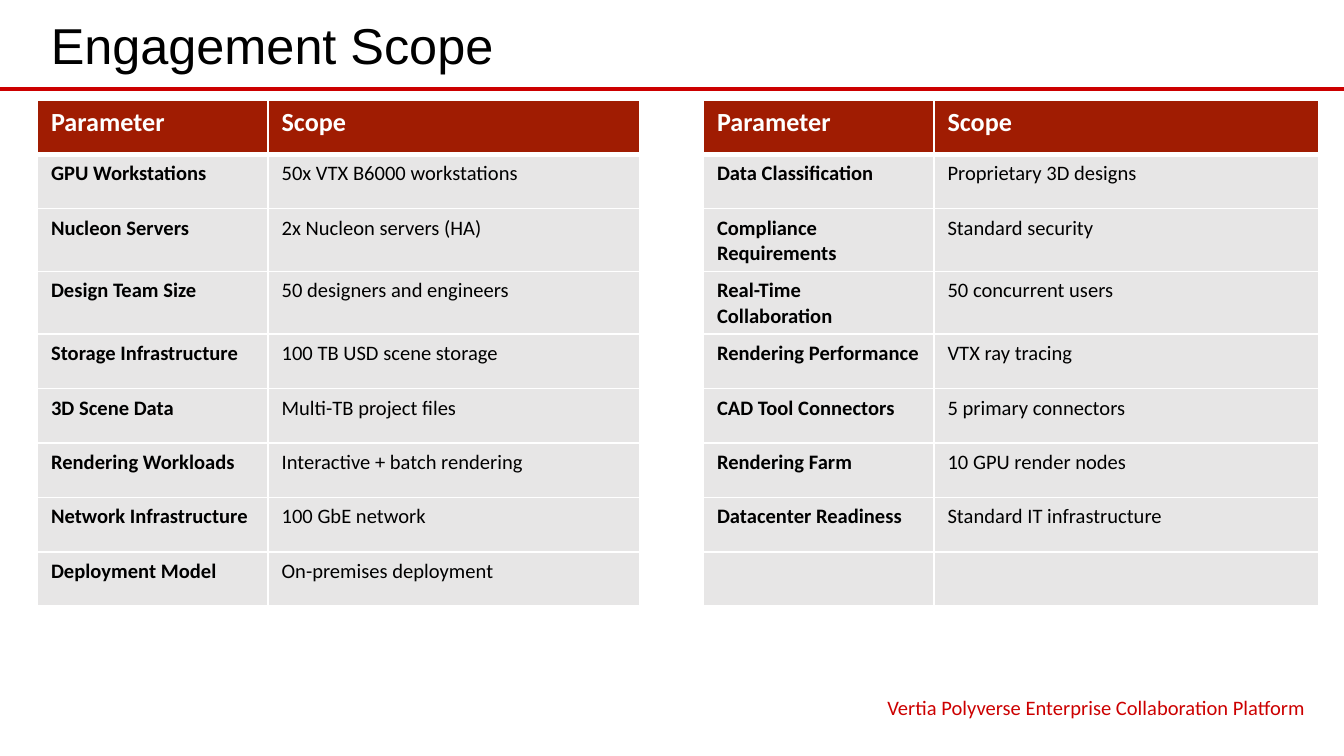
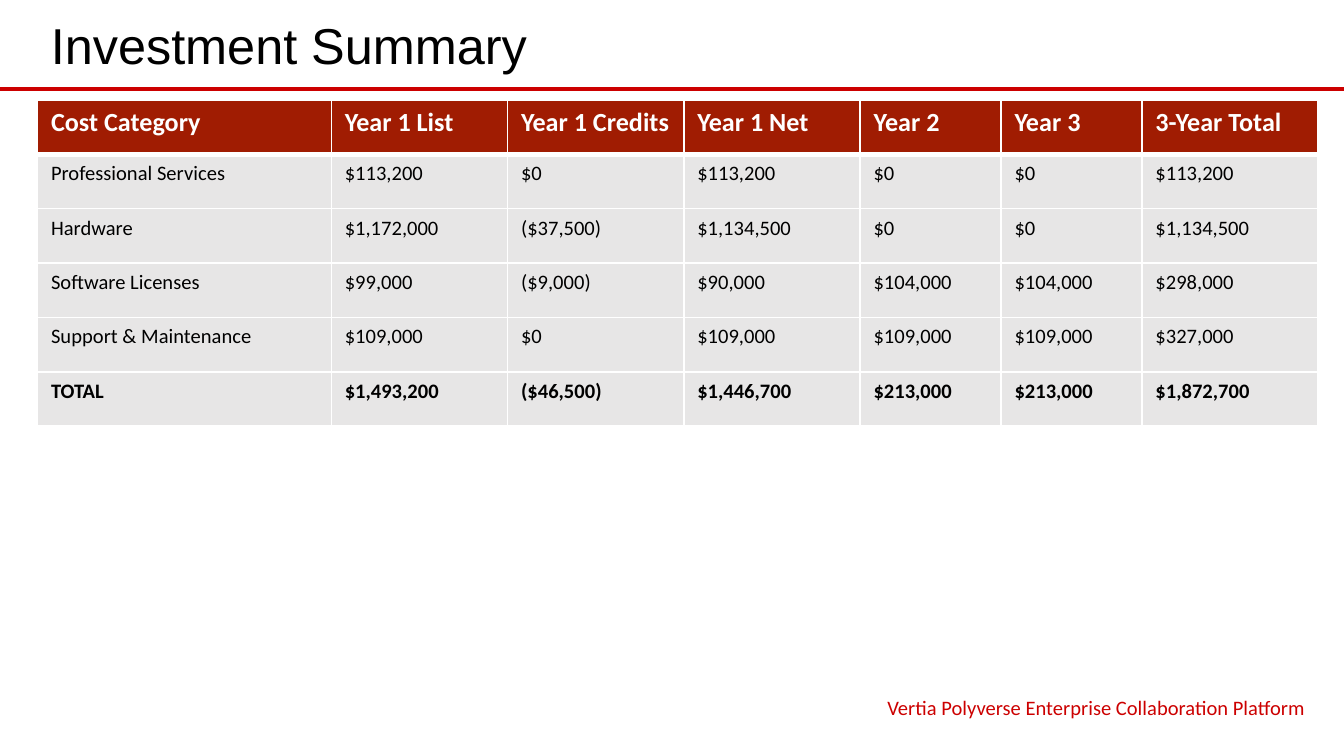
from dataclasses import dataclass

from lxml.etree import SubElement
from pptx import Presentation
from pptx.dml.color import RGBColor
from pptx.enum.shapes import MSO_CONNECTOR
from pptx.enum.text import MSO_ANCHOR, PP_ALIGN
from pptx.oxml.ns import qn
from pptx.util import Inches, Pt

SLIDE_WIDTH = Inches(10)
SLIDE_HEIGHT = SLIDE_WIDTH * 9 // 16


@dataclass(frozen=True)
class Theme:
    heading_font: str = "Arial"
    body_font: str = "Calibri"
    title_size: float = 27
    header_size: float = 14
    body_size: float = 11
    rule_width: float = 2.25
    border_width: float = 1
    header_border_width: float = 3
    accent: str = "CC0000"
    header: str = "A01C02"
    cell: str = "E7E6E6"
    white: str = "FFFFFF"
    black: str = "000000"


THEME = Theme()

FOOTER_TEXT = "Vertia Polyverse Enterprise Collaboration Platform"

SCOPE_WEIGHTS = [18, 29, 5, 18, 30]
SCOPE_HEADER = ["Parameter", "Scope"]
SCOPE_LEFT = [
    ["GPU Workstations", "50x VTX B6000 workstations"],
    ["Nucleon Servers", "2x Nucleon servers (HA)"],
    ["Design Team Size", "50 designers and engineers"],
    ["Storage Infrastructure", "100 TB USD scene storage"],
    ["3D Scene Data", "Multi-TB project files"],
    ["Rendering Workloads", "Interactive + batch rendering"],
    ["Network Infrastructure", "100 GbE network"],
    ["Deployment Model", "On-premises deployment"],
]
SCOPE_RIGHT = [
    ["Data Classification", "Proprietary 3D designs"],
    ["Compliance Requirements", "Standard security"],
    ["Real-Time Collaboration", "50 concurrent users"],
    ["Rendering Performance", "VTX ray tracing"],
    ["CAD Tool Connectors", "5 primary connectors"],
    ["Rendering Farm", "10 GPU render nodes"],
    ["Datacenter Readiness", "Standard IT infrastructure"],
    ["", ""],
]

COST_WEIGHTS = [25, 15, 15, 15, 12, 12, 15]
COST_ROWS = [
    ["Cost Category", "Year 1 List", "Year 1 Credits", "Year 1 Net", "Year 2", "Year 3", "3-Year Total"],
    ["Professional Services", "$113,200", "$0", "$113,200", "$0", "$0", "$113,200"],
    ["Hardware", "$1,172,000", "($37,500)", "$1,134,500", "$0", "$0", "$1,134,500"],
    ["Software Licenses", "$99,000", "($9,000)", "$90,000", "$104,000", "$104,000", "$298,000"],
    ["Support & Maintenance", "$109,000", "$0", "$109,000", "$109,000", "$109,000", "$327,000"],
    ["TOTAL", "$1,493,200", "($46,500)", "$1,446,700", "$213,000", "$213,000", "$1,872,700"],
]


@dataclass(frozen=True)
class Box:
    left: int
    top: int
    width: int
    height: int

    @property
    def edges(self):
        return self.left, self.top, self.width, self.height


def columns(count):
    return int(SLIDE_WIDTH * count / 100)


def rows(count):
    return int(SLIDE_HEIGHT * count / 100)


def grid_box(left, top, width, height):
    return Box(columns(left), rows(top), columns(width), rows(height))


TITLE_BOX = grid_box(2.8, 0.7, 95.3, 10.3)
RULE_BOX = grid_box(0, 11.75, 100, 0)
TABLE_BOX = grid_box(2.8, 13.2, 95.3, 79)
FOOTER_BOX = grid_box(62.9, 91, 35.2, 4.6)
ROW_HEIGHT = rows(7.2)


def add_run(paragraph, text, font_name, size, color, bold=False):
    run = paragraph.add_run()
    run.text = text
    run.font.name = font_name
    run.font.size = Pt(size)
    run.font.bold = bold
    run.font.color.rgb = RGBColor.from_string(color)


def add_text_box(slide, box, anchor):
    text_frame = slide.shapes.add_textbox(*box.edges).text_frame
    text_frame.word_wrap = True
    text_frame.vertical_anchor = anchor
    return text_frame.paragraphs[0]


def add_title(slide, box, text):
    paragraph = add_text_box(slide, box, MSO_ANCHOR.MIDDLE)
    add_run(paragraph, text, THEME.heading_font, THEME.title_size, THEME.black)


def add_rule(slide, box):
    rule = slide.shapes.add_connector(
        MSO_CONNECTOR.STRAIGHT, box.left, box.top, box.left + box.width, box.top
    )
    rule.line.color.rgb = RGBColor.from_string(THEME.accent)
    rule.line.width = Pt(THEME.rule_width)
    SubElement(rule._element.spPr, qn("a:effectLst"))


def add_footer(slide, box):
    paragraph = add_text_box(slide, box, MSO_ANCHOR.TOP)
    paragraph.alignment = PP_ALIGN.RIGHT
    hanging = Inches(0.38)
    properties = paragraph._p.get_or_add_pPr()
    properties.set("marL", str(hanging))
    properties.set("indent", str(-hanging))
    add_run(paragraph, FOOTER_TEXT, THEME.body_font, THEME.body_size, THEME.accent)


def set_borders(cell, row_index):
    widths = dict.fromkeys(["a:lnL", "a:lnR", "a:lnT", "a:lnB"], THEME.border_width)
    if row_index == 0:
        widths["a:lnB"] = THEME.header_border_width
    elif row_index == 1:
        widths["a:lnT"] = THEME.header_border_width
    properties = cell._tc.get_or_add_tcPr()
    for tag, width in widths.items():
        line = SubElement(properties, qn(tag), w=str(Pt(width)))
        fill = SubElement(line, qn("a:solidFill"))
        SubElement(fill, qn("a:srgbClr"), val=THEME.white)


def add_table(slide, box, weights, values, is_bold, spacer=None):
    frame = slide.shapes.add_table(
        len(values), len(weights), box.left, box.top, box.width, ROW_HEIGHT * len(values)
    )
    table = frame.table
    table.horz_banding = False
    for column, weight in zip(table.columns, weights):
        column.width = box.width * weight // sum(weights)
    for row_index, row_values in enumerate(values):
        table.rows[row_index].height = ROW_HEIGHT
        header = row_index == 0
        for column_index, text in enumerate(row_values):
            cell = table.cell(row_index, column_index)
            set_borders(cell, row_index)
            fill = THEME.header if header else THEME.cell
            cell.fill.solid()
            cell.fill.fore_color.rgb = RGBColor.from_string(
                THEME.white if column_index == spacer else fill
            )
            if text:
                add_run(
                    cell.text_frame.paragraphs[0],
                    text,
                    THEME.body_font,
                    THEME.header_size if header else THEME.body_size,
                    THEME.white if header else THEME.black,
                    header or is_bold(row_index, column_index),
                )


def add_base_slide(presentation, title):
    slide = presentation.slides.add_slide(presentation.slide_layouts[6])
    add_rule(slide, RULE_BOX)
    add_title(slide, TITLE_BOX, title)
    add_footer(slide, FOOTER_BOX)
    return slide


def add_scope_slide(presentation):
    slide = add_base_slide(presentation, "Engagement Scope")
    values = [
        left + [""] + right
        for left, right in zip([SCOPE_HEADER] + SCOPE_LEFT, [SCOPE_HEADER] + SCOPE_RIGHT)
    ]
    add_table(
        slide, TABLE_BOX, SCOPE_WEIGHTS, values, lambda row, column: column in (0, 3), spacer=2
    )


def add_investment_slide(presentation):
    slide = add_base_slide(presentation, "Investment Summary")
    total_row = len(COST_ROWS) - 1
    add_table(slide, TABLE_BOX, COST_WEIGHTS, COST_ROWS, lambda row, column: row == total_row)


def main():
    presentation = Presentation()
    presentation.slide_width = SLIDE_WIDTH
    presentation.slide_height = SLIDE_HEIGHT
    add_scope_slide(presentation)
    add_investment_slide(presentation)
    presentation.save("out.pptx")


if __name__ == "__main__":
    main()
